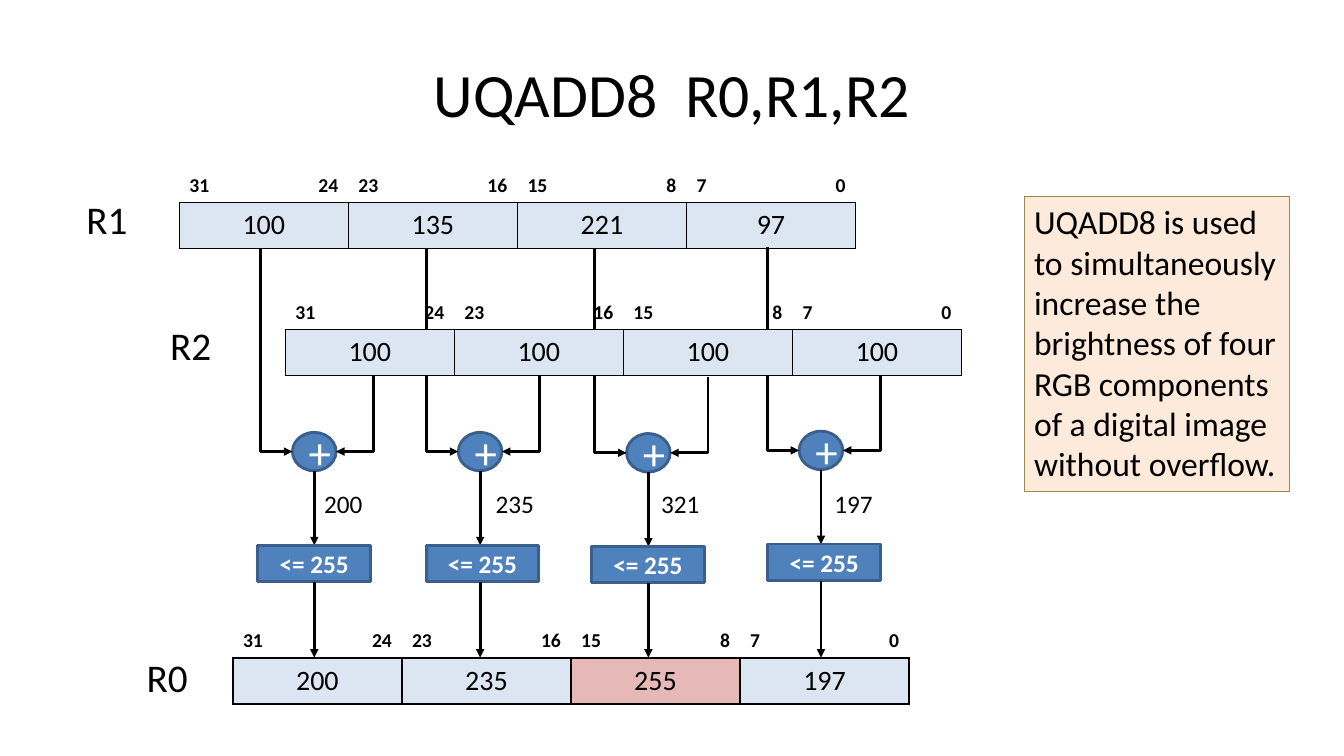
from lxml.etree import SubElement
from pptx import Presentation
from pptx.dml.color import RGBColor
from pptx.enum.shapes import MSO_CONNECTOR, MSO_SHAPE
from pptx.enum.text import MSO_ANCHOR, PP_ALIGN
from pptx.oxml.ns import qn
from pptx.util import Cm, Pt

BLACK, WHITE = "000000", "FFFFFF"
BLUE, BLUE_EDGE = "4F81BD", "3A5F8C"
PALE_BLUE, PINK = "DCE6F2", "E6B9B8"
NO_STYLE = "{2D5ABB26-0587-4C30-8999-92F81FD0307C}"

BYTE_BITS = [("31", "24"), ("23", "16"), ("15", "8"), ("7", "0")]
COL_W, ROW_H = 2.13, 1.16
ADDER_W, ADDER_H = 1.1, 0.97
CLIP_W, CLIP_H, CLIP_DROP = 2.84, 0.92, 2.36
R0_BITS_BOTTOM = 16.57

# adder centre x, adder centre y, clip box centre x, sum, sum label x, sum label y
LANES = [
    (7.92, 11.38, 7.92, "200", 7.92, 12.17),
    (12.1, 11.38, 12.16, "235", 12.24, 12.19),
    (16.34, 11.41, 16.33, "321", 16.41, 12.19),
    (20.69, 11.35, 20.77, "197", 20.78, 12.17),
]


def rgb(color):
    return RGBColor.from_string(color)


def put_text(tf, text, size=18, color=BLACK, bold=False, align=PP_ALIGN.LEFT,
             anchor=MSO_ANCHOR.TOP, font="Calibri"):
    tf.word_wrap = True
    tf.vertical_anchor = anchor
    p = tf.paragraphs[0]
    p.alignment = align
    r = p.add_run()
    r.text = text
    r.font.name, r.font.size, r.font.bold = font, Pt(size), bold
    r.font.color.rgb = rgb(color)


class Diagram:
    """Draws on one slide; all lengths are in centimetres."""

    def __init__(self, slide, line_width=2):
        self.shapes = slide.shapes
        self.line_width = line_width

    def label(self, x, y, w, h, text, **fmt):
        s = self.shapes.add_textbox(Cm(x), Cm(y), Cm(w), Cm(h))
        put_text(s.text_frame, text, **fmt)

    def box(self, kind, x, y, w, h, text, fill=BLUE, edge=BLUE_EDGE, edge_width=2, **fmt):
        s = self.shapes.add_shape(kind, Cm(x), Cm(y), Cm(w), Cm(h))
        s.shadow.inherit = False
        s.fill.solid()
        s.fill.fore_color.rgb = rgb(fill)
        s.line.color.rgb = rgb(edge)
        s.line.width = Pt(edge_width)
        put_text(s.text_frame, text, **fmt)

    def arrow(self, x1, y1, x2, y2, kind=MSO_CONNECTOR.STRAIGHT):
        s = self.shapes.add_connector(kind, Cm(x1), Cm(y1), Cm(x2), Cm(y2))
        s.line.color.rgb = rgb(BLACK)
        s.line.width = Pt(self.line_width)
        sp_pr = s._element.spPr
        SubElement(sp_pr.find(qn("a:ln")), qn("a:tailEnd"), type="triangle")
        SubElement(sp_pr, qn("a:effectLst"))
        return s

    def corner_arrow(self, x1, y1, x2, y2):
        """Goes down from the start, then sideways to the end."""
        cx, cy = (x1 + x2) / 2, (y1 + y2) / 2
        half_w, half_h = (y2 - y1) / 2, abs(x2 - x1) / 2
        side, turn = (1, 270) if x2 > x1 else (-1, 90)
        s = self.arrow(cx + side * half_w, cy - half_h, cx - side * half_w, cy + half_h,
                       MSO_CONNECTOR.ELBOW)
        sp_pr = s._element.spPr
        sp_pr.find(qn("a:prstGeom")).set("prst", "bentConnector2")
        sp_pr.find(qn("a:xfrm")).set("rot", str(turn * 60000))

    def border(self, cell):
        tc_pr = cell._tc.get_or_add_tcPr()
        for side in ("lnL", "lnR", "lnT", "lnB"):
            ln = SubElement(tc_pr, qn(f"a:{side}"), w=str(Pt(1)))
            SubElement(SubElement(ln, qn("a:solidFill")), qn("a:srgbClr"), val=BLACK)

    def register(self, name, name_x, name_y, x, y, values, marked=None):
        """A row of bit numbers above four byte values, with the register name."""
        table = self.shapes.add_table(2, 8, Cm(x), Cm(y), Cm(8 * COL_W), Cm(2 * ROW_H)).table
        table._tbl.tblPr.find(qn("a:tableStyleId")).text = NO_STYLE
        table.first_row = table.horz_banding = False
        for col in table.columns:
            col.width = Cm(COL_W)
        for row in table.rows:
            row.height = Cm(ROW_H)
        for i, (bits, value) in enumerate(zip(BYTE_BITS, values)):
            left, right = 2 * i, 2 * i + 1
            for c, bit, align in zip((left, right), bits, (PP_ALIGN.LEFT, PP_ALIGN.RIGHT)):
                cell = table.cell(0, c)
                cell.fill.background()
                put_text(cell.text_frame, bit, size=14, bold=True, align=align)
                cell.vertical_anchor = MSO_ANCHOR.BOTTOM
            byte = table.cell(1, left)
            byte.merge(table.cell(1, right))
            for c in (left, right):
                cell = table.cell(1, c)
                self.border(cell)
                cell.fill.solid()
                cell.fill.fore_color.rgb = rgb(PINK if i == marked else PALE_BLUE)
            put_text(byte.text_frame, value, size=20, align=PP_ALIGN.CENTER)
            byte.vertical_anchor = MSO_ANCHOR.MIDDLE
        self.label(name_x, name_y, 3, 1.45, name, size=28, align=PP_ALIGN.RIGHT)

    def adder(self, x, y):
        self.box(MSO_SHAPE.OVAL, x - ADDER_W / 2, y - ADDER_H / 2, ADDER_W, ADDER_H, "+",
                 size=32, color=WHITE, align=PP_ALIGN.CENTER, anchor=MSO_ANCHOR.MIDDLE)
        self.corner_arrow(x - 1.35, y - 5.13, x - ADDER_W / 2, y)
        self.corner_arrow(x + 1.5, y - 1.9, x + ADDER_W / 2, y)
        self.arrow(x, y + ADDER_H / 2, x, y + CLIP_DROP)

    def clip(self, x, y, box_x):
        top = y + CLIP_DROP
        self.box(MSO_SHAPE.RECTANGLE, box_x - CLIP_W / 2, top, CLIP_W, CLIP_H, "<= 255",
                 color=WHITE, bold=True, align=PP_ALIGN.CENTER, anchor=MSO_ANCHOR.MIDDLE)
        self.arrow(x, top + CLIP_H, x, R0_BITS_BOTTOM)


def main():
    prs = Presentation()
    prs.slide_width, prs.slide_height = Cm(33.87), Cm(19.05)
    d = Diagram(prs.slides.add_slide(prs.slide_layouts[6]))

    d.label(1.7, 0.76, 30.48, 3.18, "UQADD8  R0,R1,R2", size=44,
            align=PP_ALIGN.CENTER, anchor=MSO_ANCHOR.MIDDLE)
    d.register("R1", 0.46, 4.8, 4.52, 3.94, ["100", "135", "221", "97"])
    d.register("R0", 1.98, 16.33, 5.87, 15.42, ["200", "235", "255", "197"], marked=2)
    for x, y, *_ in LANES:
        d.adder(x, y)
    d.register("R2", 2.57, 7.98, 7.19, 7.14, ["100"] * 4)
    for x, y, box_x, total, total_x, total_y in LANES:
        d.clip(x, y, box_x)
        d.label(total_x, total_y, 1.63, 1.02, total)
    d.box(MSO_SHAPE.RECTANGLE, 25.81, 4.95, 6.68, 7.44,
          "UQADD8 is used to simultaneously increase the brightness of four RGB components "
          "of a digital image without overflow.",
          fill="FDEADA", edge="948A54", edge_width=0.75, size=24)
    prs.save("out.pptx")


if __name__ == "__main__":
    main()
